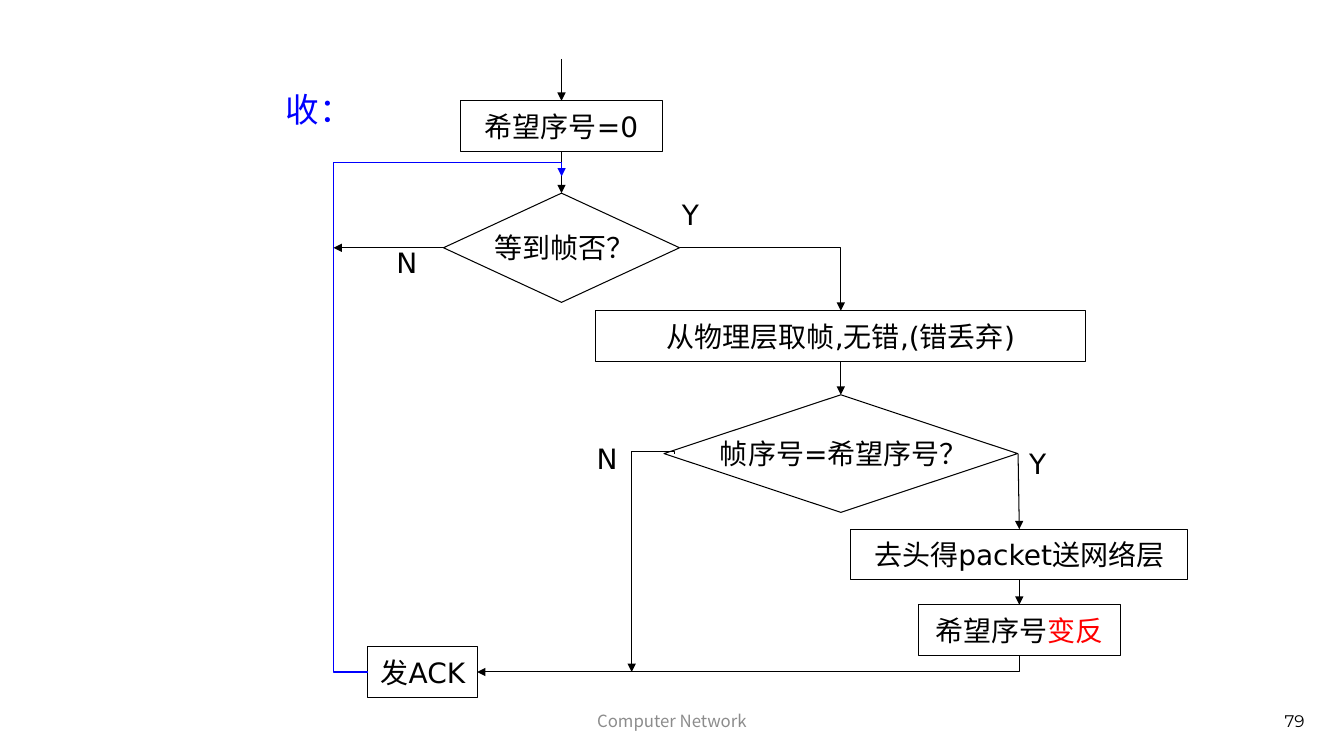
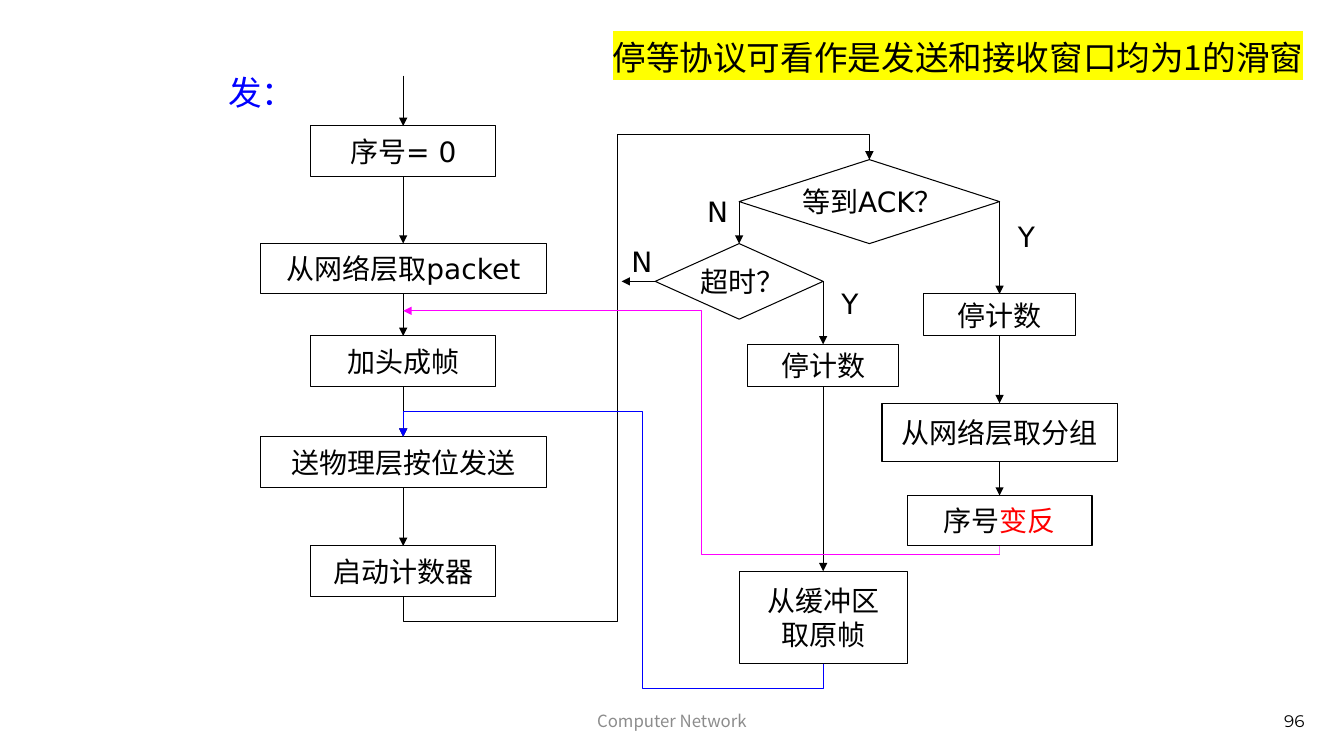
"""Build two flowcharts of the stop-and-wait protocol: receiver and sender."""
import dataclasses
import typing

import lxml.etree
import pptx
import pptx.dml.color
import pptx.enum.shapes
import pptx.enum.text
import pptx.oxml.ns
import pptx.util

RGB = pptx.dml.color.RGBColor
BLACK = RGB(0x00, 0x00, 0x00)
GREY = RGB(0x8C, 0x8C, 0x8C)
BLUE = RGB(0x00, 0x00, 0xFF)
RED = RGB(0xFF, 0x00, 0x00)
PINK = RGB(0xFF, 0x00, 0xFF)
ROSE = RGB(0xFF, 0x66, 0xFF)
YELLOW = RGB(0xFF, 0xFF, 0x00)

SANS = "DejaVu Sans"
HAN = "Noto Sans CJK SC"
DIGIT = "Montserrat"

KIND = pptx.enum.shapes.MSO_SHAPE
LINK = pptx.enum.shapes.MSO_CONNECTOR
ALIGN = pptx.enum.text.PP_ALIGN
ANCHOR = pptx.enum.text.MSO_ANCHOR
COLS, ROWS = 160, 90
UNIT = pptx.util.Inches(1) / 12


def emu(*cells):
    return [pptx.util.Emu(round(cell * UNIT)) for cell in cells]


def find(parent, tag):
    return parent.find(pptx.oxml.ns.qn(tag))


def add(parent, tag, **attrs):
    return lxml.etree.SubElement(parent, pptx.oxml.ns.qn(tag), attrs)


def write(frame, text, size=20, font=SANS, color=BLACK, align=ALIGN.LEFT,
          anchor=ANCHOR.TOP, wrap=False, mark=None):
    frame.word_wrap = wrap
    frame.vertical_anchor = anchor
    for index, row in enumerate(text.split("\n")):
        para = frame.add_paragraph() if index else frame.paragraphs[0]
        para.alignment = align
        for part, hue in zip(row.split("|"), (color, RED)):
            run = para.add_run()
            run.text = part
            run.font.size = pptx.util.Pt(size)
            run.font.color.rgb = hue
            run.font.name = font
            props = run.font._element
            add(props, "a:ea", typeface=HAN)
            if mark is not None:
                glow = add(props, "a:highlight")
                add(glow, "a:srgbClr", val=str(mark))
                find(props, "a:latin").addprevious(glow)


@dataclasses.dataclass
class Chart:
    deck: typing.Any
    slide: typing.Any = None
    width: float = 0.75

    def page(self, number):
        self.slide = self.deck.slides.add_slide(self.deck.slide_layouts[6])
        self.label("Computer Network", 53, 83.4, 54, 4.8, size=12, font=HAN,
                   color=GREY, align=ALIGN.CENTER, anchor=ANCHOR.MIDDLE)
        self.label(number, 113, 83.4, 43.5, 4.8, size=12, font=DIGIT,
                   align=ALIGN.RIGHT, anchor=ANCHOR.MIDDLE, wrap=True)

    def label(self, text, left, top, width=5, height=5, **style):
        area = self.slide.shapes.add_textbox(*emu(left, top, width, height))
        write(area.text_frame, text, **style)

    def box(self, text, mid, top, width, height=6, kind=KIND.FLOWCHART_PROCESS):
        shape = self.slide.shapes.add_shape(
            kind, *emu(mid - width / 2, top, width, height))
        shape.shadow.inherit = False
        shape.fill.background()
        shape.line.color.rgb = BLACK
        shape.line.width = pptx.util.Pt(self.width)
        write(shape.text_frame, text, align=ALIGN.CENTER, anchor=ANCHOR.MIDDLE)

    def line(self, *points, color=BLACK, head=True, turn=0):
        start, end = points[0], points[-1]
        mid = [(a + b) / 2 for a, b in zip(start, end)]
        span = [b - a for a, b in zip(start, end)]
        wide, high = span
        for _ in range(turn):
            wide, high = high, -wide
        bends = len(points) - 1
        link = self.slide.shapes.add_connector(
            LINK.ELBOW if bends > 1 else LINK.STRAIGHT,
            *emu(mid[0] - wide / 2, mid[1] - high / 2,
                 mid[0] + wide / 2, mid[1] + high / 2))
        link.line.color.rgb = color
        link.line.width = pptx.util.Pt(self.width)
        props = link._element.spPr
        if turn:
            find(props, "a:xfrm").set("rot", str(turn * 5400000))
        if bends > 1:
            shape = find(props, "a:prstGeom")
            shape.set("prst", f"bentConnector{bends}")
            for index, point in enumerate(points[1:-2]):
                axis = (index + turn) % 2
                share = round((point[axis] - start[axis]) / span[axis] * 100000)
                add(find(shape, "a:avLst"), "a:gd",
                    name=f"adj{index + 1}" if bends > 3 else "adj1",
                    fmla=f"val {share}")
        if head:
            add(find(props, "a:ln"), "a:tailEnd", type="triangle")
        add(props, "a:effectLst")

    def chain(self, mid, start, *boxes):
        for text, top, width, height, *kind in boxes:
            if start is not None:
                self.line((mid, start), (mid, top))
            self.box(text, mid, top, width, height, *kind)
            start = top + height


def receive(chart):
    left, first, second, third = 39.7, 66.85, 100.1, 121.35
    chart.page("79")
    chart.label("收：", 32.8, 10, 10.4, 6, size=24, color=BLUE)
    chart.chain(first, 7,
                ("希望序号=0", 12, 24.1, 6),
                (" 等到帧否？", 23, 28.1, 13, KIND.FLOWCHART_DECISION))
    chart.line((80.9, 29.5), (second, 29.5), (second, 37))
    chart.chain(second, None,
                ("从物理层取帧,无错,(错丢弃)", 37, 58.3, 6),
                (" 帧序号=希望序号？", 47, 42.1, 14, KIND.DIAMOND))
    chart.line((121.2, 54), (third, 63))
    chart.chain(third, None,
                ("去头得packet送网络层", 63, 40.1, 6),
                ("希望序号|变反", 72, 24.1, 6))
    chart.box("发ACK", 50.35, 77, 13.1)
    chart.line((80.3, 54), (80.3, 53.8), (75.2, 53.8), (75.2, 80), turn=1)
    chart.line((third, 78), (third, 80), (56.8, 80), turn=1)
    chart.line((43.8, 80), (left, 80), (left, 19.3), (first, 19.3),
               (first, 21), color=BLUE, turn=2)
    chart.line((52.8, 29.5), (left, 29.5))
    for text, x, y in (("Y", 80, 22.9), ("N", 46, 28.6),
                       ("N", 69.85, 52), ("Y", 121.35, 52.6)):
        chart.label(text, x, y)


def send(chart):
    main, time, wait, done = 48, 98, 103.5, 119
    chart.page("96")
    chart.label("发：", 26, 8, 10.4, 6, size=24, color=BLUE)
    chart.chain(main, 9,
                ("序号= 0", 15, 22, 6),
                ("从网络层取packet", 29, 34, 6),
                ("加头成帧", 40, 22, 6),
                ("送物理层按位发送", 52, 34, 6),
                ("启动计数器", 65, 22, 6))
    chart.box(" 等到ACK？", wait, 19, 31, 10, KIND.DIAMOND)
    chart.chain(88, 24, (" 超时？", 29, 20, 9, KIND.DIAMOND))
    chart.chain(time, 33.5,
                ("停计数", 41, 18, 5),
                ("从缓冲区\n取原帧", 68, 20, 11))
    chart.chain(done, 24,
                ("停计数", 35, 18, 5),
                ("从网络层取分组", 48, 28, 7),
                ("序号|变反", 59, 22, 6))
    chart.line((main, 71), (main, 74), (73.5, 74), (73.5, 16),
               (wait, 16), (wait, 19), turn=1)
    chart.line((78, 33.5), (74, 33.5))
    chart.line((time, 79), (time, 82), (76.5, 82), (76.5, 49),
               (main, 49), (main, 52), color=BLUE, turn=3)
    chart.line((done, 66), (83.5, 66), (83.5, 37), (main, 37),
               color=PINK, turn=2)
    chart.line((done, 66), (done, 65), color=ROSE, head=False)
    for text, x, y in (("N", 83, 22.6), ("Y", 120, 25.6),
                       ("N", 74, 28.5), ("Y", 99, 33.5)):
        chart.label(text, x, y)
    chart.label("停等协议可看作是发送和接收窗口均为1的滑窗", 71.75, 3.75, 85.3, 6,
                size=24, font=HAN, wrap=True, mark=YELLOW)


def main():
    deck = pptx.Presentation()
    deck.slide_width, deck.slide_height = emu(COLS, ROWS)
    chart = Chart(deck)
    receive(chart)
    send(chart)
    deck.save("out.pptx")


if __name__ == "__main__":
    main()
